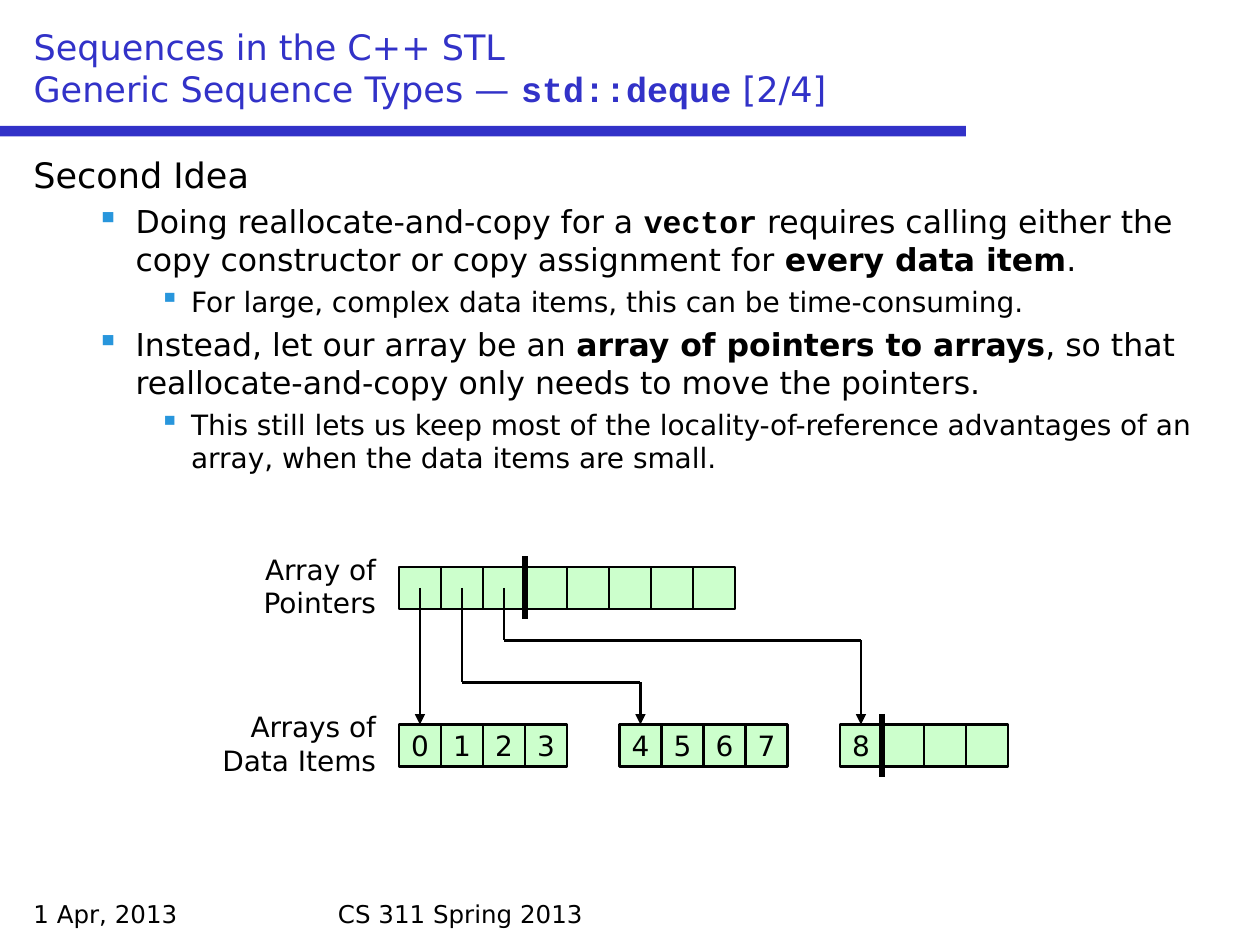
import pptx
import pptx.util
import pptx.dml.color
import pptx.enum.text
import pptx.enum.shapes
import pptx.oxml.ns
import lxml.etree

SANS, MONO = "DejaVu Sans", "Courier New"
BLACK, BLUE, BULLET, GREEN = "000000", "3232C8", "2896DC", "CCFFCC"
GRID = 2.54 / 12
CELL = 4
POINTER_ROW, DATA_ROW = 54, 69

TITLE = [
    [("Sequences in the C++ STL", "")],
    [("Generic Sequence Types — ", ""), ("std::deque", "code"), (" [2/4]", "")],
]
BODY = [
    (0, [("Second Idea", "")]),
    (1, [("Doing reallocate-and-copy for a ", ""), ("vector", "code"),
         (" requires calling either the copy constructor or copy assignment for ", ""),
         ("every data item", "bold"), (".", "")]),
    (2, [("For large, complex data items, this can be time-consuming.", "")]),
    (1, [("Instead, let our array be an ", ""), ("array of pointers to arrays", "bold"),
         (", so that reallocate-and-copy only needs to move the pointers.", "")]),
    (2, [("This still lets us keep most of the locality-of-reference advantages "
          "of an array, when the data items are small.", "")]),
]
LEVELS = [(20, 0.97, -0.97), (18, 2.06, -0.79), (16, 3.18, -0.64)]
FOOTERS = [("1 Apr, 2013", 2, 28), ("CS 311 Spring 2013", 31, 58)]
LABELS = [("Array of Pointers", 22, 52, 15), ("Arrays of Data Items", 19, 67, 18)]
DATA_ARRAYS = [(38, "0123"), (59, "4567"), (80, "8   ")]
POINTERS = (38, " " * 8)
BEND_ROWS = [None, 65, 61]
END_MARKS = [(50, POINTER_ROW), (84, DATA_ROW)]

A = pptx.enum.text.PP_ALIGN
ANCHOR = pptx.enum.text.MSO_ANCHOR
qn = pptx.oxml.ns.qn


def color(value):
    return pptx.dml.color.RGBColor.from_string(value)


def units(*values):
    return [pptx.util.Cm(v * GRID) for v in values]


def add_run(p, text, size, style="", rgb=BLACK):
    r = p.add_run()
    r.text = text
    r.font.size = pptx.util.Pt(size)
    r.font.name = MONO if style == "code" else SANS
    r.font.bold = style != ""
    r.font.color.rgb = color(rgb)


def add_text(s, box):
    tf = s.shapes.add_textbox(*units(*box)).text_frame
    tf.word_wrap = True
    return tf


def add_bullet(p):
    pPr = p._p.get_or_add_pPr()
    clr = lxml.etree.SubElement(pPr, qn("a:buClr"))
    lxml.etree.SubElement(clr, qn("a:srgbClr"), val=BULLET)
    lxml.etree.SubElement(pPr, qn("a:buChar"), char="▪")


def add_rect(s, box, fill):
    sp = s.shapes.add_shape(pptx.enum.shapes.MSO_SHAPE.RECTANGLE, *units(*box))
    sp.shadow.inherit = False
    sp.fill.solid()
    sp.fill.fore_color.rgb = color(fill)
    sp.line.fill.background()
    return sp


def add_array(s, left, top, items):
    cells = []
    for i, item in enumerate(items):
        sp = add_rect(s, (left + i * CELL, top, CELL, CELL), GREEN)
        sp.line.color.rgb = color(BLACK)
        sp.line.width = pptx.util.Pt(1.25)
        if item.strip():
            tf = sp.text_frame
            tf.word_wrap = False
            tf.vertical_anchor = ANCHOR.MIDDLE
            tf.paragraphs[0].alignment = A.CENTER
            add_run(tf.paragraphs[0], item, 16)
        cells.append(sp)
    return cells


def add_line(s, start, end, width=1.25, target=None):
    line = s.shapes.add_connector(
        pptx.enum.shapes.MSO_CONNECTOR.STRAIGHT, *units(*start, *end))
    line.line.color.rgb = color(BLACK)
    line.line.width = pptx.util.Pt(width)
    if target is not None:
        line.end_connect(target, 0)
        lxml.etree.SubElement(line.line._get_or_add_ln(), qn("a:tailEnd"), type="triangle")
    lxml.etree.SubElement(line._element.spPr, qn("a:effectLst"))


def main():
    prs = pptx.Presentation()
    prs.slide_width, prs.slide_height = pptx.util.Cm(25.4), pptx.util.Cm(19.05)
    s = prs.slides.add_slide(prs.slide_layouts[5])

    title = s.shapes.title
    title.left, title.top, title.width, title.height = units(2, 2, 116, 9)
    tf = title.text_frame
    tf.vertical_anchor = ANCHOR.BOTTOM
    tf.auto_size = pptx.enum.text.MSO_AUTO_SIZE.NONE
    p = tf.paragraphs[0]
    p.alignment = A.LEFT
    for i, row in enumerate(TITLE):
        if i:
            p.add_line_break()
        for text, style in row:
            add_run(p, text, 20, style, BLUE)
    add_rect(s, (0, 12, 92, 1), BLUE)

    for text, left, width in FOOTERS:
        add_run(add_text(s, (left, 85, width, 4)).paragraphs[0], text, 14)

    tf = add_text(s, (2, 14, 116, 70))
    for i, (level, runs) in enumerate(BODY):
        p = tf.add_paragraph() if i else tf.paragraphs[0]
        size, margin, indent = LEVELS[level]
        p.level = level
        pPr = p._p.get_or_add_pPr()
        pPr.set("marL", str(pptx.util.Cm(margin)))
        pPr.set("indent", str(pptx.util.Cm(indent)))
        if level:
            add_bullet(p)
            p.space_before = pptx.util.Pt(round(size * 0.23, 1))
        for text, style in runs:
            add_run(p, text, size, style)

    for text, left, top, width in LABELS:
        tf = add_text(s, (left, top, width, 7.7))
        tf.auto_size = pptx.enum.text.MSO_AUTO_SIZE.SHAPE_TO_FIT_TEXT
        tf.paragraphs[0].alignment = A.RIGHT
        add_run(tf.paragraphs[0], text, 16)

    add_array(s, POINTERS[0], POINTER_ROW, POINTERS[1])
    for i, ((left, items), bend) in enumerate(zip(DATA_ARRAYS, BEND_ROWS)):
        first = add_array(s, left, DATA_ROW, items)[0]
        x, y = POINTERS[0] + (i + 0.5) * CELL, POINTER_ROW + CELL / 2
        end = left + CELL / 2
        if bend:
            add_line(s, (x, y), (x, bend))
            add_line(s, (x, bend), (end, bend))
            y = bend
        add_line(s, (end, y), (end, DATA_ROW), target=first)

    for x, row in END_MARKS:
        add_line(s, (x, row - 1), (x, row + CELL + 1), 3)

    prs.save("out.pptx")


if __name__ == "__main__":
    main()
